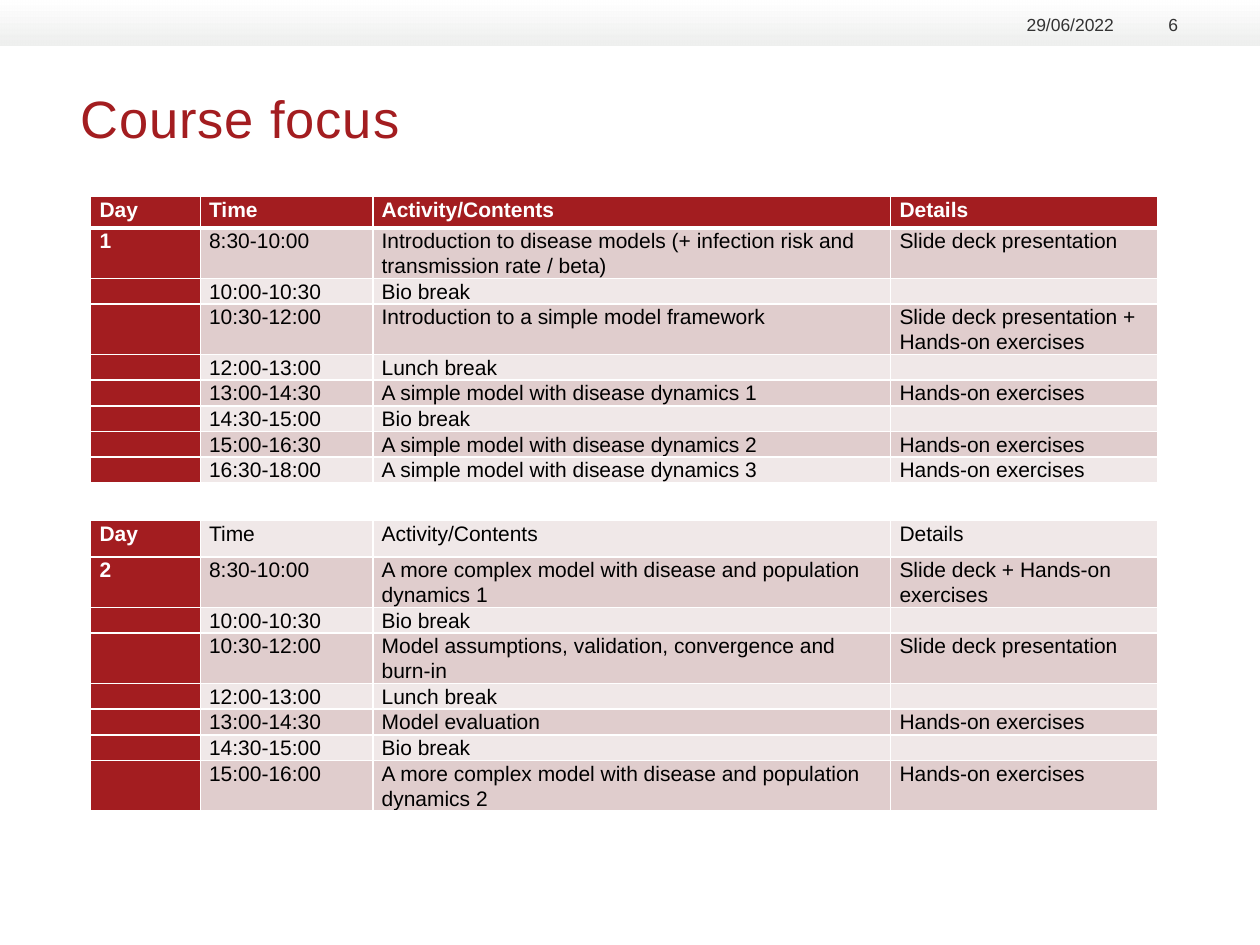
from lxml import etree
from pptx import Presentation, util as u
from pptx.dml.color import RGBColor
from pptx.enum import shapes, text
from pptx.oxml.ns import qn

TITLE = "Course focus"
DATE, NUMBER = "29/06/2022", "6"
HEADER = ("Day", "Time", "Activity/Contents", "Details")
HANDS_ON = "Hands-on exercises"
SLIDES = "Slide deck presentation"
DAY_1 = [
    ("1", "8:30-10:00", "Introduction to disease models (+ infection risk and transmission rate / beta)", SLIDES),
    ("", "10:00-10:30", "Bio break", ""),
    ("", "10:30-12:00", "Introduction to a simple model framework", SLIDES + " + " + HANDS_ON),
    ("", "12:00-13:00", "Lunch break", ""),
    ("", "13:00-14:30", "A simple model with disease dynamics 1", HANDS_ON),
    ("", "14:30-15:00", "Bio break", ""),
    ("", "15:00-16:30", "A simple model with disease dynamics 2", HANDS_ON),
    ("", "16:30-18:00", "A simple model with disease dynamics 3", HANDS_ON),
]
DAY_2 = [
    ("2", "8:30-10:00", "A more complex model with disease and population dynamics 1", "Slide deck + " + HANDS_ON),
    ("", "10:00-10:30", "Bio break", ""),
    ("", "10:30-12:00", "Model assumptions, validation, convergence and burn-in", SLIDES),
    ("", "12:00-13:00", "Lunch break", ""),
    ("", "13:00-14:30", "Model evaluation", HANDS_ON),
    ("", "14:30-15:00", "Bio break", ""),
    ("", "15:00-16:00", "A more complex model with disease and population dynamics 2", HANDS_ON),
]
ROWS = [HEADER, *DAY_1, ("",) * 4, HEADER, *DAY_2]
GAP_ROW = len(DAY_1) + 1
COLUMNS = (0.87, 1.37, 4.11, 2.12)
LINE = 0.2
HEIGHTS = {0: 0.25, GAP_ROW: 0.3, GAP_ROW + 1: 0.29}
ACTIVITY_CHARS, DETAIL_CHARS = 50, 26
COLORS = {"red": "A31D20", "dark": "E0CDCD", "light": "F0E8E8", "white": "FFFFFF",
          "black": "000000", "grey": "333333", "bar": "EEEFEE"}


def rgb(name):
    return RGBColor.from_string(COLORS[name])


def write(tf, content, size=12, color="black", bold=False, align=None, line=None, after=None, spacing=None):
    p = tf.paragraphs[0]
    p.alignment, p.line_spacing = align, line
    p.space_after = None if after is None else u.Pt(after)
    if not content:
        etree.SubElement(p._p, qn("a:endParaRPr"), sz=str(size * 100))
        return
    r = p.add_run()
    r.text = content
    r.font.name, r.font.size, r.font.bold = "Arial", u.Pt(size), bold
    r.font.color.rgb = rgb(color)
    if spacing:
        r._r.get_or_add_rPr().set("spc", str(int(spacing * 100)))


def clear_insets(tf, anchor):
    tf.margin_left = tf.margin_right = tf.margin_top = tf.margin_bottom = 0
    tf.vertical_anchor, tf.word_wrap = anchor, True
    tf.auto_size = text.MSO_AUTO_SIZE.NONE


def border(cell, bottom):
    for side, width in (("L", 1), ("R", 1), ("T", 1), ("B", bottom)):
        ln = etree.SubElement(cell._tc.get_or_add_tcPr(), qn("a:ln" + side), w=str(u.Pt(width)))
        fill = etree.SubElement(ln, qn("a:solidFill"))
        etree.SubElement(fill, qn("a:srgbClr"), val=COLORS["white"])


def add_bar(s, width):
    sp = s.shapes.add_shape(shapes.MSO_SHAPE.RECTANGLE, 0, 0, width, u.Inches(0.36))
    sp.shadow.inherit = False
    sp.line.fill.background()
    sp.fill.gradient()
    sp.fill.gradient_angle = 270
    for stop, name, position in zip(sp.fill.gradient_stops, ("white", "bar"), (0, 1)):
        stop.color.rgb, stop.position = rgb(name), position
    last = sp._element.spPr.findall(".//" + qn("a:srgbClr"))[-1]
    etree.SubElement(last, qn("a:alpha"), val="93000")


def add_title(s):
    sp = s.shapes.title
    sp.left, sp.top, sp.width, sp.height = map(u.Inches, (0.64, 0.68, 8.71, 0.95))
    clear_insets(sp.text_frame, text.MSO_ANCHOR.TOP)
    write(sp.text_frame, TITLE, size=30, color="red", align=text.PP_ALIGN.LEFT, spacing=0.5)


def add_page_marks(s):
    for content, left, width in ((DATE, 7.95, 0.89), (NUMBER, 8.94, 0.41)):
        tf = s.shapes.add_textbox(*map(u.Inches, (left, 0.09, width, 0.19))).text_frame
        clear_insets(tf, text.MSO_ANCHOR.BOTTOM)
        write(tf, content, size=10, color="grey", align=text.PP_ALIGN.RIGHT)


def row_height(i, row):
    wraps = len(row[2]) > ACTIVITY_CHARS or len(row[3]) > DETAIL_CHARS
    return HEIGHTS.get(i, LINE * (2 if wraps else 1))


def cell_fill(i, j):
    if i == GAP_ROW:
        return "white"
    if i == 0 or j == 0:
        return "red"
    return "dark" if i % 2 else "light"


def add_schedule(s):
    heights = [row_height(i, row) for i, row in enumerate(ROWS)]
    frame = s.shapes.add_table(len(ROWS), len(COLUMNS), *map(u.Inches, (0.72, 1.56, sum(COLUMNS), sum(heights))))
    table = frame.table
    for column, width in zip(table.columns, COLUMNS):
        column.width = u.Inches(width)
    for i, row in enumerate(ROWS):
        table.rows[i].height = u.Inches(heights[i])
        for j, content in enumerate(row):
            cell = table.cell(i, j)
            cell.margin_left = cell.margin_right = u.Inches(0.07)
            cell.margin_top = cell.margin_bottom = 0
            border(cell, 3 if i == 0 else 1)
            fill = cell_fill(i, j)
            cell.fill.solid()
            cell.fill.fore_color.rgb = rgb(fill)
            strong = fill == "red"
            write(cell.text_frame, content, color="white" if strong else "black",
                  bold=strong, line=1.07, after=8)


def main():
    prs = Presentation()
    prs.slide_width, prs.slide_height = u.Inches(10), u.Inches(7.5)
    s = prs.slides.add_slide(prs.slide_layouts[5])
    add_bar(s, prs.slide_width)
    add_title(s)
    add_page_marks(s)
    add_schedule(s)
    prs.save("out.pptx")


if __name__ == "__main__":
    main()
